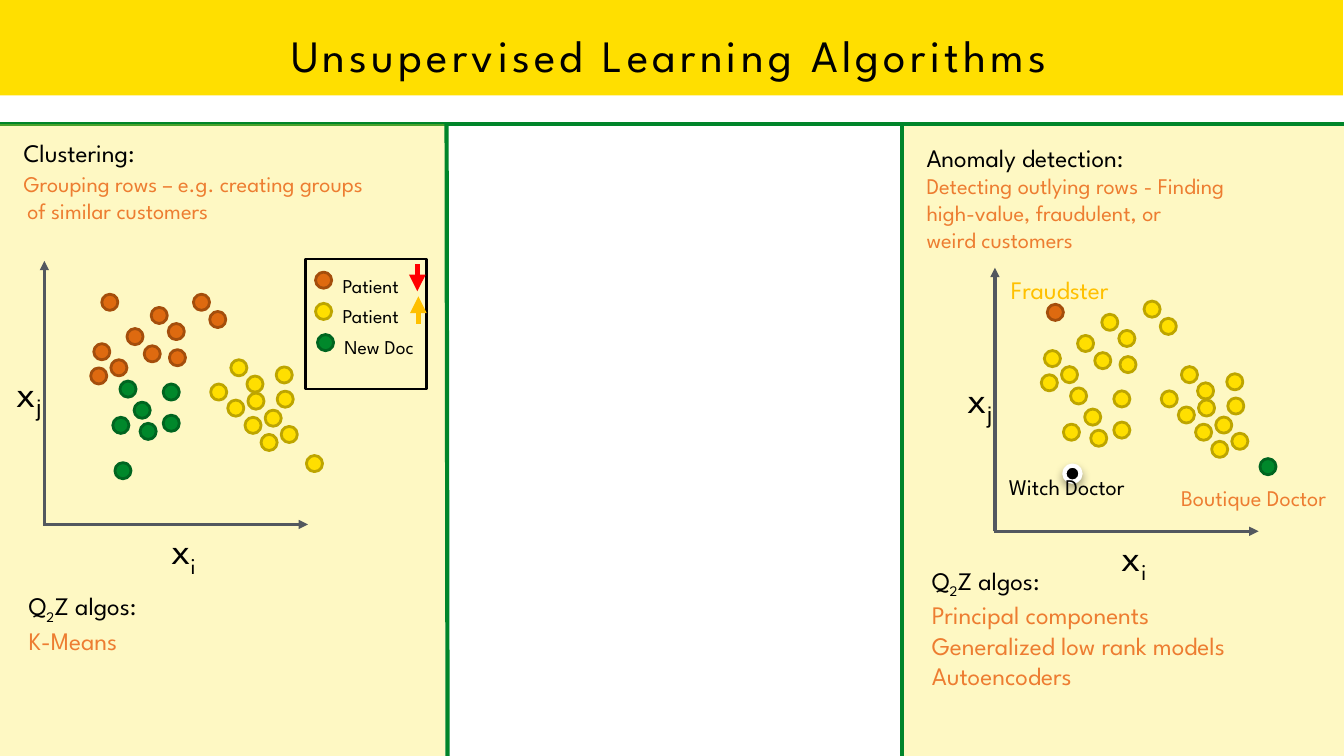
import pptx
import pptx.dml.color
import pptx.enum.shapes
import pptx.enum.text
import pptx.oxml
import pptx.oxml.ns
import pptx.util
from lxml import etree

Pt = pptx.util.Pt
SHAPES = pptx.enum.shapes.MSO_SHAPE
ALIGN = pptx.enum.text.PP_ALIGN
ANCHOR = pptx.enum.text.MSO_ANCHOR
FONT = "League Spartan"

COLOURS = {
    "banner": "FFDF00", "panel": "FDE831", "divider": "00852A", "axis": "53585F",
    "black": "000000", "white": "FFFFFF", "accent": "ED7D31", "gold": "FFC000", "red": "FF0000",
    "orange": "DE6A10", "orange edge": "A44E0C", "yellow": "FFDF00", "yellow edge": "BDA500",
    "green": "00882B", "green edge": "006520",
}

DOT_SIZE = 11.5
# Left and top of each dot in the left chart; the right chart is the same, shifted.
CLUSTERS = {
    "orange": [(67, 245.5), (79.2, 257), (108, 219.6), (64.8, 262.8), (90.7, 234.7), (103, 247),
               (121, 249.8), (138.2, 210.2), (120.2, 231.1), (149.8, 222.5)],
    "yellow": [(186.5, 310.3), (200.9, 304.6), (198, 279.4), (175, 298.1), (162.7, 285.8),
               (189.4, 293), (176.4, 268.6), (197.3, 262.1), (150.5, 274.3), (177.1, 280.8),
               (164.9, 257)],
    "green": [(116.6, 274.3), (80.6, 298.1), (100.1, 302.4), (95.8, 287.3), (85.7, 272.2),
              (116.6, 296.6)],
}
ANOMALY_SHIFT = (679, 4.9)
CLUSTERING_OUTLIERS = [("orange", 72.7, 210.2), ("yellow", 218.9, 325.4), ("green", 82.1, 330.5)]
ANOMALY_OUTLIERS = [("orange", 748.1, 217.4), ("green", 900, 327.6)]
WITCH_DOCTOR_DOT = (760.3, 332.6)

LEGEND_BOX = (218.2, 185, 86.4, 92.9)
LEGEND = [  # colour, dot left and top, label, label left and top
    ("orange", 225.4, 194.4, "Patient", 237.6, 192.2),
    ("yellow", 225.4, 216.7, "Patient", 237.6, 213.8),
    ("green", 226.8, 239, "New Doc", 239, 235.4),
]
LEGEND_ARROWS = [("red", 298.1, 188.6, 208.1), ("gold", 298.8, 231.1, 211.7)]

CAPTIONS = [  # text, box, size, colour
    ("Witch Doctor", (713.5, 334.1, 107.3, 59), 16, "black"),
    ("Fraudster", (715, 192.2, 96.5, 28.8), 18, "gold"),
    ("Boutique Doctor", (836.6, 342, 136.1, 26.6), 16, "accent"),
]

ALGOS_INDENT = 17.6
ALGOS_HEADING = {"runs": [("Q", {}), ("2", {"baseline": -25000}), ("Z algos:", {})],
                 "size": 18, "indent": ALGOS_INDENT}


def algorithm(name):
    return {"runs": [(name, {})], "size": 18, "indent": ALGOS_INDENT, "colour": "accent"}


def detail(text, indent, before=0):
    return {"runs": [(text, {})], "size": 16, "indent": indent, "colour": "accent", "before": before}


def heading(text, indent):
    return {"runs": [(text, {})], "size": 18, "indent": indent}


PANEL_TEXTS = [
    ((0, 94.3, 316.8, 70.6), [
        heading("Clustering:", 13.3),
        detail("Grouping rows – e.g. creating groups", 13.3, before=2.4),
        detail("of similar customers", 15.9)]),
    ((-0.7, 418.3, 316.8, 51.1), [ALGOS_HEADING, algorithm("K-Means")]),
    ((646.6, 97.9, 322.6, 87.1), [
        heading("Anomaly detection:", 11.6),
        detail("Detecting outlying rows - Finding", 11.6),
        detail("high-value, fraudulent, or", 11.6),
        detail("weird customers", 11.6)]),
    ((644.4, 400.3, 315.4, 94.3), [
        ALGOS_HEADING,
        algorithm("Principal components"),
        algorithm("Generalized low rank models"),
        algorithm("Autoencoders")]),
]

presentation = pptx.Presentation()
presentation.slide_width, presentation.slide_height = Pt(960), Pt(540)
slide = presentation.slides.add_slide(presentation.slide_layouts[6])


def rgb(name):
    return pptx.dml.color.RGBColor.from_string(COLOURS[name])


def add_child(parent, tag, **attributes):
    child = etree.SubElement(parent, pptx.oxml.ns.qn(tag))
    for key, value in attributes.items():
        child.set(key, str(value))
    return child


def add_shape(kind, box, fill=None, line=None, width=2, alpha=None):
    """Alpha is the opacity of the fill in percent."""
    shape = slide.shapes.add_shape(kind, *map(Pt, box))
    shape.shadow.inherit = False
    if fill:
        shape.fill.solid()
        shape.fill.fore_color.rgb = rgb(fill)
    else:
        shape.fill.background()
    if alpha:
        colour = next(shape._element.spPr.iter(pptx.oxml.ns.qn("a:srgbClr")))
        add_child(colour, "a:alpha", val=alpha * 1000)
    if line:
        shape.line.color.rgb = rgb(line)
        shape.line.width = Pt(width)
    else:
        shape.line.fill.background()
    return shape


def add_line(start, end, colour, width, arrow=False):
    line = slide.shapes.add_connector(pptx.enum.shapes.MSO_CONNECTOR.STRAIGHT,
                                      *map(Pt, start + end))
    line.line.color.rgb = rgb(colour)
    line.line.width = Pt(width)
    if arrow:
        add_child(line.line._get_or_add_ln(), "a:tailEnd", type="triangle")
    add_child(line._element.spPr, "a:effectLst")


def add_text(paragraphs, box, inset=(7.2, 3.6), align=ALIGN.LEFT, anchor=ANCHOR.TOP, spacing=None):
    """Each paragraph is a dict with runs, size and optional indent, colour and before."""
    frame = slide.shapes.add_textbox(*map(Pt, box)).text_frame
    frame.word_wrap = True
    frame.vertical_anchor = anchor
    frame.margin_left = frame.margin_right = Pt(inset[0])
    frame.margin_top = frame.margin_bottom = Pt(inset[1])
    for index, content in enumerate(paragraphs):
        paragraph = frame.add_paragraph() if index else frame.paragraphs[0]
        paragraph.alignment = align
        paragraph.space_before = Pt(content.get("before", 0))
        paragraph._p.get_or_add_pPr().set("marL", str(Pt(content.get("indent", 0))))
        for text, style in content["runs"]:
            run = paragraph.add_run()
            run.text = text
            run.font.name = style.get("font", FONT)
            run.font.size = Pt(content["size"])
            run.font.color.rgb = rgb(content.get("colour", "black"))
            properties = run._r.get_or_add_rPr()
            if "baseline" in style:
                properties.set("baseline", str(style["baseline"]))
            if spacing:
                properties.set("spc", str(spacing))


def add_dot(colour, left, top):
    add_shape(SHAPES.OVAL, (left, top, DOT_SIZE, DOT_SIZE), colour, colour + " edge")


def add_chart_plane(shift, recolour=None):
    """Draw axes, axis names and clusters; recolour gives all clusters one colour."""
    across, down = shift
    for colour, places in CLUSTERS.items():
        for left, top in places:
            add_dot(recolour or colour, left + across, top + down)
    origin = (31.7 + across, 374.6 + down)
    add_line((origin[0] - 1, origin[1]), (220 + across, origin[1]), "axis", 2.25, arrow=True)
    add_line(origin, (origin[0], 186.3 + down), "axis", 2.25, arrow=True)
    for letter, font, left, top in [("i", FONT, 115.2, 371.5), ("j", "Arial", 5, 259.2)]:
        runs = [("x", {}), (letter, {"font": font, "baseline": -25000})]
        add_text([{"runs": runs, "size": 28}], (left + across, top + down, 60.5, 41))


add_shape(SHAPES.RECTANGLE, (-0.7, -0.7, 960, 68.8), "banner")
add_line((0, 88.6), (960, 88.6), "divider", 3)
add_shape(SHAPES.RECTANGLE, (643.7, 90, 316.8, 450), "panel", alpha=29)
add_shape(SHAPES.RECTANGLE, (0, 88.6, 318.2, 451.4), "panel", alpha=29)
add_line((644.4, 87.8), (644.4, 540), "divider", 3)
add_line((319, 87.8), (319.7, 540), "divider", 3)
add_text([{"runs": [("Unsupervised Learning Algorithms", {})], "size": 32}],
         (-2.9, 0, 961.9, 77.8), align=ALIGN.CENTER, anchor=ANCHOR.MIDDLE, spacing=300)

add_chart_plane((0, 0))
add_chart_plane(ANOMALY_SHIFT, recolour="yellow")
for outlier in CLUSTERING_OUTLIERS + ANOMALY_OUTLIERS:
    add_dot(*outlier)
witch_dot = add_shape(SHAPES.OVAL, WITCH_DOCTOR_DOT + (DOT_SIZE, DOT_SIZE), "black", "white", 3)
effects = witch_dot._element.spPr.find(pptx.oxml.ns.qn("a:effectLst"))
shadow = add_child(effects, "a:outerShdw", blurRad=Pt(6), dist=Pt(3), dir=5400000, rotWithShape=0)
add_child(add_child(shadow, "a:srgbClr", val=COLOURS["black"]), "a:alpha", val=35000)

add_shape(SHAPES.RECTANGLE, LEGEND_BOX, line="black")
for colour, dot_left, dot_top, label, left, top in LEGEND:
    add_dot(colour, dot_left, dot_top)
    add_text([{"runs": [(label, {})], "size": 14}], (left, top, 80, 24.5))
for colour, x, start, end in LEGEND_ARROWS:
    add_line((x, start), (x, end), colour, 4, arrow=True)

for text, box, size, colour in CAPTIONS:
    add_text([{"runs": [(text, {})], "size": size, "colour": colour}], box)
for box, paragraphs in PANEL_TEXTS:
    add_text(paragraphs, box, inset=(3.6, 3.6))

presentation.save("out.pptx")
